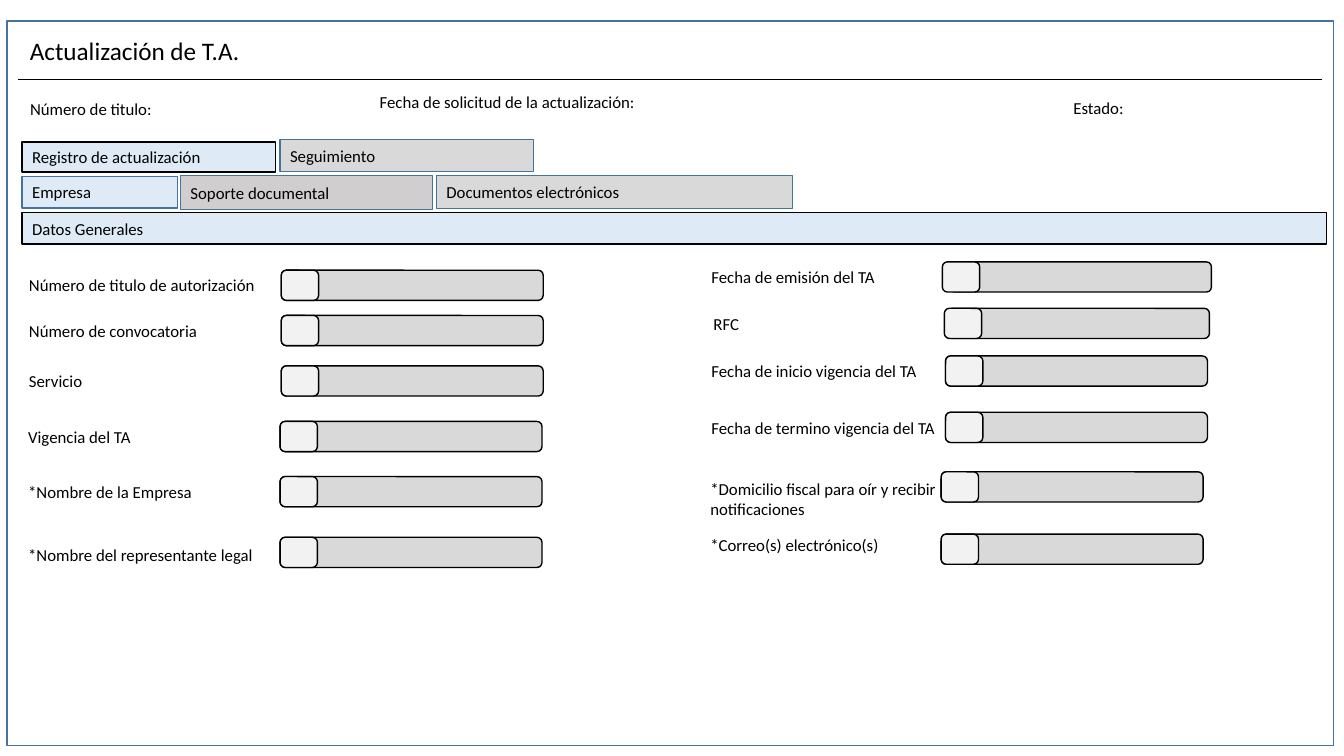
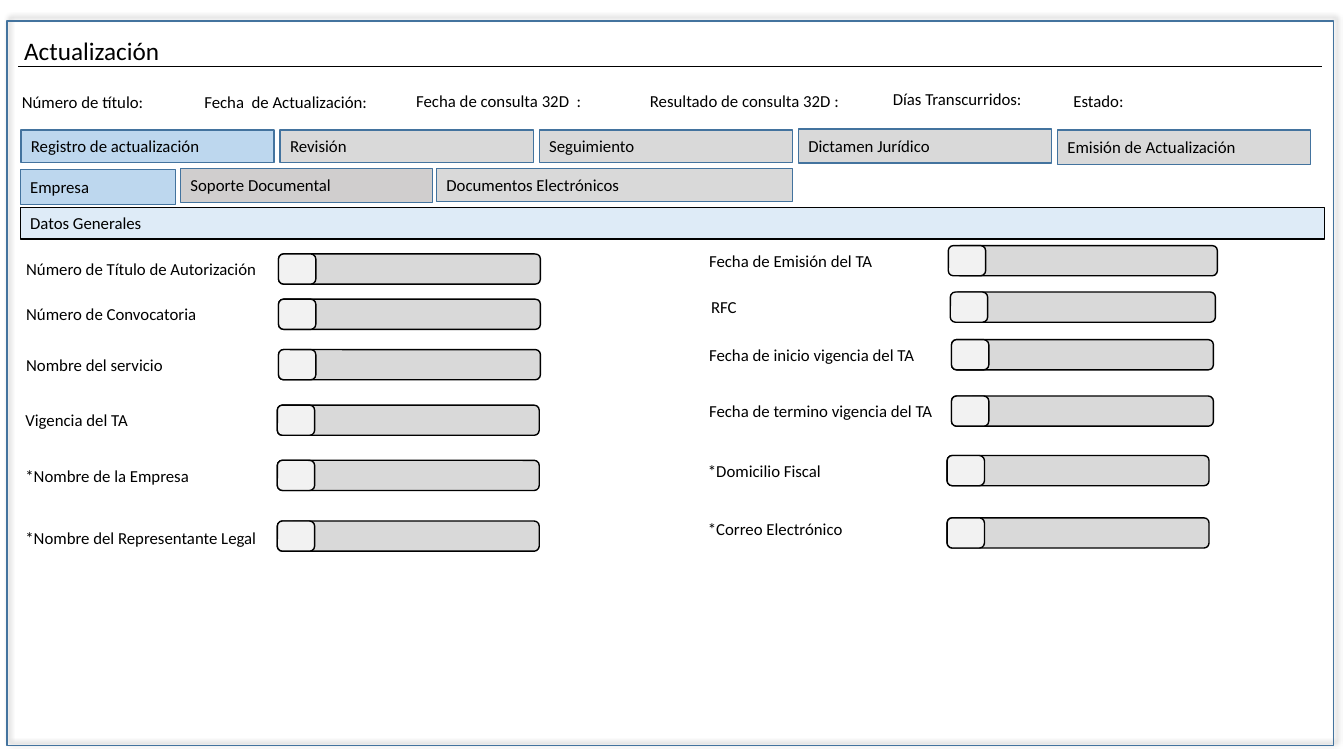
from dataclasses import dataclass

from lxml import etree
from pptx import Presentation
from pptx import util as u
from pptx.dml.color import RGBColor
from pptx.enum import shapes, text
from pptx.oxml import ns

# Shared look
FONT = "Calibri"
BLACK, BLUE = "000000", "43739E"
PALE, SKY, GREY, WARM, LIGHT = "DEEBF7", "BDD7EE", "D9D9D9", "D0CECE", "F2F2F2"
BODY_SIZE, TITLE_SIZE = 12, 18
RECT = shapes.MSO_SHAPE.RECTANGLE
ROUND = shapes.MSO_SHAPE.ROUNDED_RECTANGLE

# Shared measures, in centimetres
LABEL_WIDTH, LABEL_HEIGHT = 9.12, 0.76
BAR_WIDTH, KNOB_WIDTH, BAR_HEIGHT = 6.6, 0.94, 0.76
TAB_LEFT, TAB_PITCH, TAB_WIDTH = 0.53, 6.53, 6.38


@dataclass(frozen=True)
class Label:
    words: str
    left: float
    top: float
    width: float = LABEL_WIDTH
    height: float = LABEL_HEIGHT
    size: int = BODY_SIZE


@dataclass(frozen=True)
class Tab:
    words: str
    left: float
    top: float
    width: float
    height: float
    fill: str = GREY
    line: str = BLUE


@dataclass(frozen=True)
class FieldSpot:
    label_left: float
    knob_left: float
    bar_left: float
    top: float


@dataclass(frozen=True)
class FieldText:
    words: str
    nudge: float = 0
    width: float = LABEL_WIDTH
    height: float = LABEL_HEIGHT


@dataclass(frozen=True)
class Shift:
    label: float = 0
    field: float = 0
    down: float = 0


@dataclass(frozen=True)
class Form:
    title: Label
    rule_top: float
    headings: list[Label]
    tabs: list[Tab]
    left_fields: list[FieldText]
    right_fields: list[FieldText]
    left_shift: Shift = Shift()
    right_shift: Shift = Shift()
    frame_shadow: bool = False


# Field positions in the two columns
LEFT_SPOTS = [
    FieldSpot(0.48, 7.09, 7.09, 6.81),
    FieldSpot(0.48, 7.09, 7.09, 7.95),
    FieldSpot(0.48, 7.09, 7.09, 9.22),
    FieldSpot(0.46, 7.06, 7.06, 10.62),
    FieldSpot(0.46, 7.06, 7.06, 12.01),
    FieldSpot(0.46, 7.06, 7.06, 13.54),
]
RIGHT_SPOTS = [
    FieldSpot(17.68, 23.75, 23.93, 6.6),
    FieldSpot(17.73, 23.8, 23.88, 7.77),
    FieldSpot(17.68, 23.83, 23.83, 8.97),
    FieldSpot(17.68, 23.83, 23.83, 10.39),
    FieldSpot(17.65, 23.72, 23.72, 11.89),
    FieldSpot(17.65, 23.72, 23.72, 13.46),
]


def main_tab(words: str, column: int, top: float = 3.28, height: float = 0.81,
             fill: str = GREY) -> Tab:
    return Tab(words, TAB_LEFT + column * TAB_PITCH, top, TAB_WIDTH, height, fill)


FORMS = [
    Form(
        title=Label(" Actualización de T.A.", 0.36, 0.76, 12.98, 1.02, TITLE_SIZE),
        rule_top=2.01,
        headings=[
            Label("Número de titulo:", 0.51, 2.36, 4.29),
            Label("Fecha de solicitud de la actualización:", 9.32, 2.18, 9.32),
            Label("Estado:", 26.8, 2.34, 5.38),
        ],
        tabs=[
            Tab("Datos Generales", 0.56, 5.36, 32.87, 0.79, PALE, BLACK),
            Tab("Empresa", 0.56, 4.45, 3.91, 0.79, PALE),
            Tab("Registro de actualización", 0.56, 3.58, TAB_WIDTH, 0.76, PALE, BLACK),
            Tab("Soporte documental", 4.55, 4.42, 6.35, 0.86, WARM),
            main_tab("Seguimiento", 1, top=3.51),
            Tab("Documentos electrónicos", 11, 4.42, 8.97, 0.84),
        ],
        left_fields=[
            FieldText("Número de titulo de autorización"),
            FieldText("Número de convocatoria"),
            FieldText("Servicio"),
            FieldText("Vigencia del TA"),
            FieldText("*Nombre de la Empresa"),
            FieldText("*Nombre del representante legal", 0.05),
        ],
        right_fields=[
            FieldText("Fecha de emisión del TA"),
            FieldText("RFC"),
            FieldText("Fecha de inicio vigencia del TA"),
            FieldText("Fecha de termino vigencia del TA"),
            FieldText("*Domicilio fiscal para oír y recibir notificaciones",
                      0.05, 6.73, 1.27),
            FieldText("*Correo(s) electrónico(s)", -0.1),
        ],
    ),
    Form(
        title=Label("Actualización", 0.36, 0.76, 12.98, 1.02, TITLE_SIZE),
        rule_top=1.68,
        headings=[
            Label("Número de título:", 0.3, 2.18, 4.29),
            Label("Fecha  de Actualización:", 4.9, 2.18, 5.38),
            Label("Fecha de consulta 32D  :", 10.24, 2.16, 5.38),
            Label("Resultado de consulta 32D :", 16.13, 2.16, 5.38),
            Label("Días Transcurridos:", 22.25, 2.11, 5.38),
            Label("Estado:", 26.8, 2.16, 5.38),
        ],
        tabs=[
            Tab("Datos Generales", 0.51, 5.23, 32.87, 0.79, PALE, BLACK),
            Tab("Empresa", 0.51, 4.27, 3.91, 0.89, SKY),
            Tab("Soporte Documental", 4.55, 4.24, 6.35, 0.86, WARM),
            Tab("Documentos Electrónicos", 11, 4.24, 8.97, 0.84),
            main_tab("Registro de actualización", 0, fill=SKY),
            main_tab("Revisión", 1),
            main_tab("Seguimiento", 2),
            main_tab("Dictamen Jurídico", 3, top=3.25, height=0.86),
            main_tab("Emisión de Actualización", 4, height=0.86),
        ],
        left_fields=[
            FieldText("Número de Título de Autorización"),
            FieldText("Número de Convocatoria"),
            FieldText("Nombre del servicio"),
            FieldText("Vigencia del TA"),
            FieldText("*Nombre de la Empresa"),
            FieldText("*Nombre del Representante Legal", 0.05),
        ],
        right_fields=[
            FieldText("Fecha de Emisión del TA"),
            FieldText("RFC"),
            FieldText("Fecha de inicio vigencia del TA"),
            FieldText("Fecha de termino vigencia del TA"),
            FieldText("*Domicilio Fiscal"),
            FieldText("*Correo Electrónico", -0.1),
        ],
        left_shift=Shift(-0.07, -0.07, -0.41),
        right_shift=Shift(-0.06, 0.15, -0.41),
        frame_shadow=True,
    ),
]


# Drawing helpers
def colour(value: str) -> RGBColor:
    return RGBColor.from_string(value)


def apply_format(target, values: dict) -> None:
    for name, value in values.items():
        setattr(target, name, value)


def write(shape, words: str, size: int, frame_format: dict) -> None:
    apply_format(shape.text_frame, {"word_wrap": True, **frame_format})
    para = shape.text_frame.paragraphs[0]
    para.alignment = text.PP_ALIGN.LEFT
    span = para.add_run()
    span.text = words
    apply_format(span.font, {"name": FONT, "size": u.Pt(size)})
    span.font.color.rgb = colour(BLACK)


def draw_box(page, kind, left: float, top: float, width: float, height: float,
             fill: str | None, line: str):
    box = page.shapes.add_shape(kind, u.Cm(left), u.Cm(top), u.Cm(width), u.Cm(height))
    box.shadow.inherit = False
    if fill:
        box.fill.solid()
        box.fill.fore_color.rgb = colour(fill)
    else:
        box.fill.background()
    box.line.color.rgb = colour(line)
    box.line.width = u.Pt(1)
    return box


def draw_label(page, label: Label) -> None:
    box = page.shapes.add_textbox(u.Cm(label.left), u.Cm(label.top),
                                  u.Cm(label.width), u.Cm(label.height))
    write(box, label.words, label.size,
          {"auto_size": text.MSO_AUTO_SIZE.SHAPE_TO_FIT_TEXT})


def draw_tab(page, tab: Tab) -> None:
    box = draw_box(page, RECT, tab.left, tab.top, tab.width, tab.height,
                   tab.fill, tab.line)
    write(box, tab.words, BODY_SIZE, {"vertical_anchor": text.MSO_ANCHOR.MIDDLE})


def draw_field(page, spot: FieldSpot, field: FieldText, shift: Shift) -> None:
    top = spot.top + shift.down
    for left, width, fill in ((spot.bar_left, BAR_WIDTH, GREY),
                              (spot.knob_left, KNOB_WIDTH, LIGHT)):
        draw_box(page, ROUND, left + shift.field, top, width, BAR_HEIGHT, fill, BLACK)
    draw_label(page, Label(field.words, spot.label_left + shift.label,
                           top + field.nudge, field.width, field.height))


def draw_frame(page, shadowed: bool) -> None:
    frame = draw_box(page, RECT, 0.18, 0.53, 33.43, 18.26, None, BLUE)
    if shadowed:
        effects = frame.element.spPr.find(ns.qn("a:effectLst"))
        shadow = etree.SubElement(effects, ns.qn("a:outerShdw"), blurRad=str(u.Pt(4)),
                                  dist=str(u.Pt(3)), dir=str(315 * 60000))
        black = etree.SubElement(shadow, ns.qn("a:srgbClr"), val=BLACK)
        etree.SubElement(black, ns.qn("a:alpha"), val="40000")


def draw_rule(page, top: float) -> None:
    rule = page.shapes.add_connector(shapes.MSO_CONNECTOR.STRAIGHT, u.Cm(0.46),
                                     u.Cm(top), u.Cm(33.32), u.Cm(top))
    rule.line.color.rgb = colour(BLACK)
    rule.line.width = u.Pt(0.5)
    etree.SubElement(rule.element.spPr, ns.qn("a:effectLst"))


def draw_form(page, form: Form) -> None:
    # Frame and header
    draw_frame(page, form.frame_shadow)
    draw_label(page, form.title)
    draw_rule(page, form.rule_top)
    for heading in form.headings:
        draw_label(page, heading)
    # Tabs and section band
    for tab in form.tabs:
        draw_tab(page, tab)
    # Two columns of fields
    for spots, fields, shift in ((LEFT_SPOTS, form.left_fields, form.left_shift),
                                 (RIGHT_SPOTS, form.right_fields, form.right_shift)):
        for spot, field in zip(spots, fields):
            draw_field(page, spot, field, shift)


def main() -> None:
    deck = Presentation()
    apply_format(deck, {"slide_width": u.Cm(33.87), "slide_height": u.Cm(19.05)})
    for form in FORMS:
        draw_form(deck.slides.add_slide(deck.slide_layouts[6]), form)
    deck.save("out.pptx")


if __name__ == "__main__":
    main()
